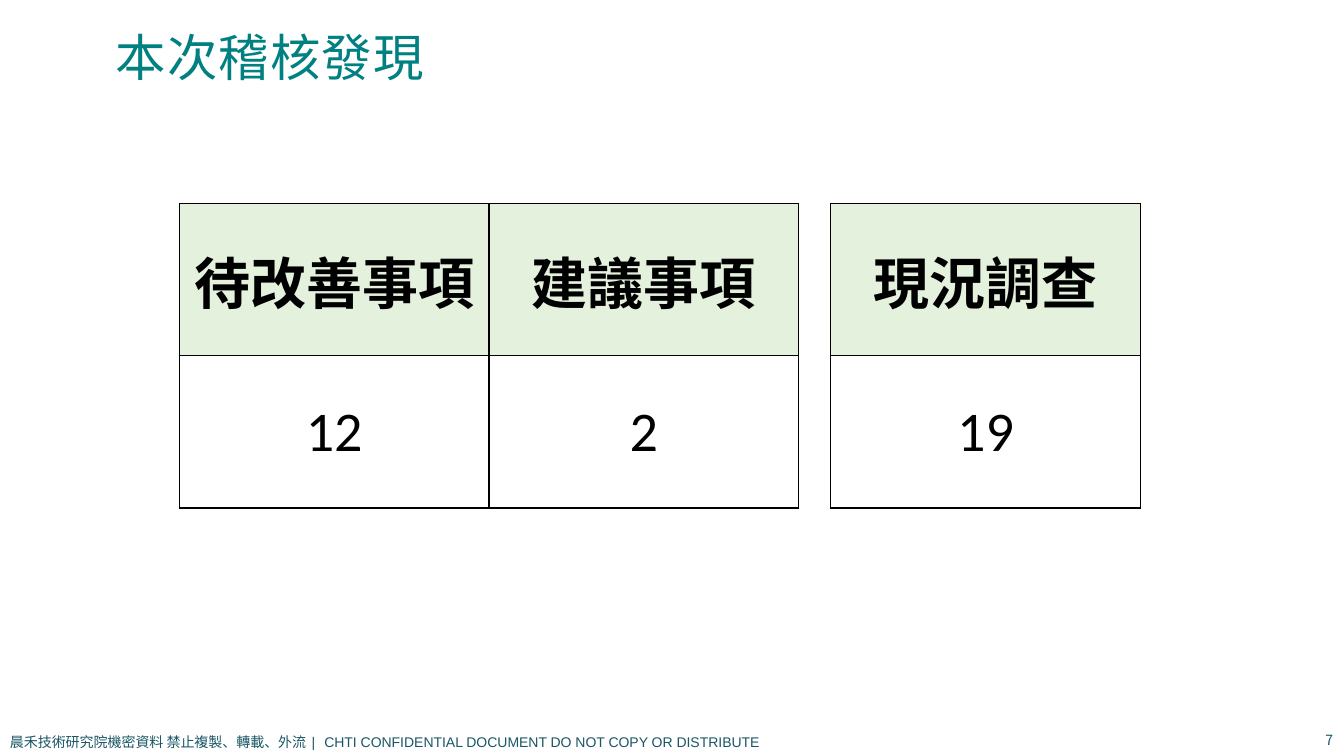
from dataclasses import dataclass

from lxml import etree
from pptx import Presentation
from pptx import util as u
from pptx.dml.color import RGBColor
from pptx.enum import text
from pptx.oxml.ns import qn


@dataclass(frozen=True)
class Theme:
    title: str = "008080"
    footer: str = "1A5664"
    ink: str = "000000"
    header_fill: str = "E3F1DD"
    latin: str = "Arial"
    body: str = "Calibri"
    cjk: str = "Noto Sans CJK TC"
    title_size: int = 36
    table_size: int = 40
    footer_size: int = 10
    border_width: int = 1


@dataclass(frozen=True)
class Grid:
    left: float = 1.78
    top: float = 2.02
    column: float = 3.07
    row: float = 1.51
    gap: float = 0.32

    def x(self, column: int, gaps: int) -> float:
        return self.left + column * self.column + gaps * self.gap


@dataclass(frozen=True)
class Findings:
    first_column: int
    gaps: int
    headings: tuple[str, ...]
    counts: tuple[str, ...]


THEME = Theme()
GRID = Grid()
FINDINGS = (
    Findings(0, 0, ("待改善事項", "建議事項"), ("12", "2")),
    Findings(2, 1, ("現況調查",), ("19",)),
)
NOTICE = (
    "晨禾技術研究院機密資料 禁止複製、轉載、外流",
    " | ",
    "CHTI CONFIDENTIAL DOCUMENT DO NOT COPY OR DISTRIBUTE",
)


def style(paragraph, size: int, face: str, color: str, bold: bool = False,
          align=text.PP_ALIGN.LEFT) -> None:
    paragraph.alignment = align
    font = paragraph.font
    font.size = u.Pt(size)
    font.name = face
    font.bold = bold
    font.color.rgb = RGBColor.from_string(color)
    properties = paragraph._p.pPr.find(qn("a:defRPr"))
    east_asian = etree.Element(qn("a:ea"), typeface=THEME.cjk)
    properties.find(qn("a:latin")).addnext(east_asian)


def track(run, points: float) -> None:
    run._r.get_or_add_rPr().set("spc", str(round(points * 100)))


def add_border(cell) -> None:
    properties = cell._tc.get_or_add_tcPr()
    for position, side in enumerate(("lnL", "lnR", "lnT", "lnB")):
        line = etree.Element(qn(f"a:{side}"), w=str(u.Pt(THEME.border_width)))
        fill = etree.SubElement(line, qn("a:solidFill"))
        etree.SubElement(fill, qn("a:srgbClr"), val=THEME.ink)
        properties.insert(position, line)


def add_findings(slide, findings: Findings) -> None:
    rows = (findings.headings, findings.counts)
    columns = len(findings.headings)
    table = slide.shapes.add_table(
        len(rows), columns,
        u.Inches(GRID.x(findings.first_column, findings.gaps)), u.Inches(GRID.top),
        u.Inches(columns * GRID.column), u.Inches(len(rows) * GRID.row),
    ).table
    table.first_row = table.horz_banding = False
    for row, entries in enumerate(rows):
        heading = row == 0
        for column, entry in enumerate(entries):
            cell = table.cell(row, column)
            cell.text = entry
            cell.vertical_anchor = text.MSO_ANCHOR.MIDDLE
            if heading:
                cell.fill.solid()
                cell.fill.fore_color.rgb = RGBColor.from_string(THEME.header_fill)
            else:
                cell.fill.background()
            add_border(cell)
            style(cell.text_frame.paragraphs[0], THEME.table_size,
                  THEME.latin if heading else THEME.body, THEME.ink,
                  heading, text.PP_ALIGN.CENTER)


def add_title(slide, wording: str) -> None:
    title = slide.shapes.title
    title.left, title.top = u.Inches(1.05), u.Inches(0.13)
    title.width, title.height = u.Inches(11.24), u.Inches(0.79)
    frame = title.text_frame
    frame.text = wording
    frame.auto_size = text.MSO_AUTO_SIZE.NONE
    frame.vertical_anchor = text.MSO_ANCHOR.BOTTOM
    paragraph = frame.paragraphs[0]
    paragraph.line_spacing = 0.9
    style(paragraph, THEME.title_size, THEME.body, THEME.title)
    track(paragraph.runs[0], 0.8)


def add_footer(slide, left: float, top: float, width: float, height: float):
    frame = slide.shapes.add_textbox(
        u.Inches(left), u.Inches(top), u.Inches(width), u.Inches(height)
    ).text_frame
    frame.word_wrap = True
    return frame


def main() -> None:
    deck = Presentation()
    deck.slide_width, deck.slide_height = u.Inches(13.33), u.Inches(7.5)
    slide = deck.slides.add_slide(deck.slide_layouts[5])
    add_title(slide, "本次稽核發現")
    for findings in FINDINGS:
        add_findings(slide, findings)

    notice = add_footer(slide, 0, 7.23, 8.19, 0.27).paragraphs[0]
    for wording in NOTICE:
        notice.add_run().text = wording
    track(notice.runs[1], 1.85)
    style(notice, THEME.footer_size, THEME.latin, THEME.footer)

    page = add_footer(slide, 12.4, 7.19, 0.92, 0.3)
    page.vertical_anchor = text.MSO_ANCHOR.MIDDLE
    page.text = "7"
    style(page.paragraphs[0], THEME.footer_size, THEME.cjk, THEME.footer,
          align=text.PP_ALIGN.RIGHT)
    deck.save("out.pptx")


if __name__ == "__main__":
    main()
